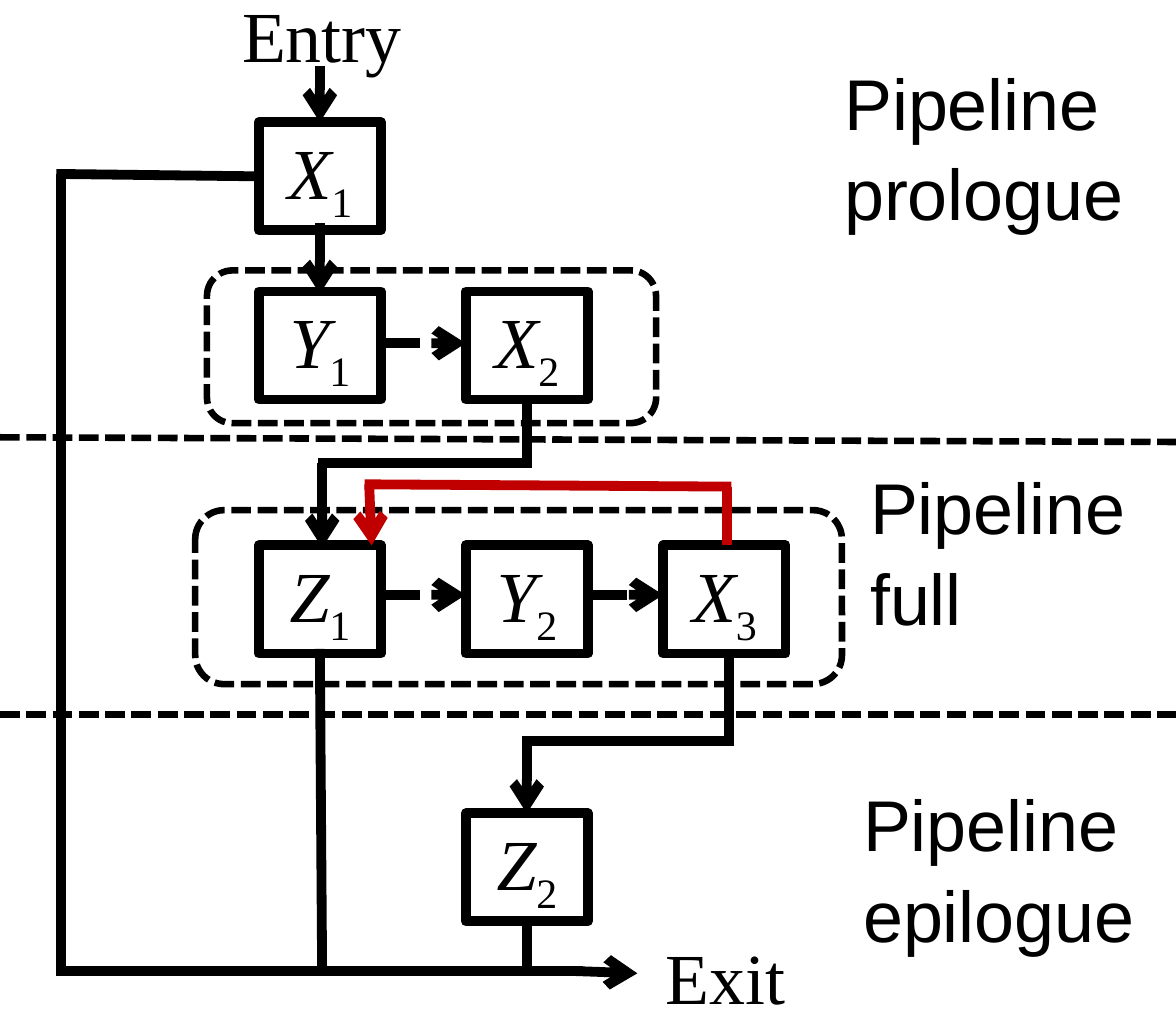
"""Build the software pipeline flow diagram slide."""
from itertools import pairwise

from lxml import etree
from pptx import Presentation
from pptx.dml.color import RGBColor
from pptx.enum.dml import MSO_LINE
from pptx.enum.shapes import MSO_CONNECTOR, MSO_SHAPE
from pptx.enum.text import MSO_ANCHOR, PP_ALIGN
from pptx.oxml.ns import qn
from pptx.util import Inches, Pt

DASH, SYS_DASH = MSO_LINE.DASH, MSO_LINE.SQUARE_DOT
RECT, ROUND = MSO_SHAPE.RECTANGLE, MSO_SHAPE.ROUNDED_RECTANGLE
STRAIGHT = MSO_CONNECTOR.STRAIGHT
MIDDLE, CENTER = MSO_ANCHOR.MIDDLE, PP_ALIGN.CENTER

COLORS = {"ink": "000000", "loop": "C00000"}
SERIF, SANS = "Times New Roman", "Arial"
SIZE = 22
COLS, ROWS = (1.1, 1.98, 2.82), (0.52, 1.24, 2.32, 3.46)
BOX_W, BOX_H = 0.52, 0.46
OVERLAP = 0.02

STAGES = [("X", "1", 0, 0), ("Y", "1", 0, 1), ("X", "2", 1, 1),
          ("Z", "1", 0, 2), ("Y", "2", 1, 2), ("X", "3", 2, 2), ("Z", "2", 1, 3)]
GROUPS = [(0.88, 1.15, 1.91, 0.65), (0.83, 2.17, 2.75, 0.74)]
LABELS = [("Entry", SERIF, 0.98, -0.08, 1.17, 0.42),
          ("Exit", SERIF, 2.78, 3.93, 0.82, 0.42),
          ("Pipeline prologue", SANS, 3.54, 0.21, 1.46, 0.78),
          ("Pipeline full", SANS, 3.65, 1.93, 1.24, 0.78),
          ("Pipeline epilogue", SANS, 3.62, 3.28, 1.29, 0.78)]
DIVIDERS = [((0, 1.86), (5, 1.88)), ((0, 3.04), (5, 3.04))]
LINKS = [((1.62, 1.46), (1.98, 1.46)), ((1.62, 2.53), (1.98, 2.53)),
         ((2.5, 2.53), (2.82, 2.53))]
ROUTES = [
    ("ink", True, [(1.36, 0.28), (1.36, 0.52)]),
    ("ink", True, [(1.36, 0.95), (1.36, 1.25)]),
    ("ink", True, [(2.24, 1.7), (2.24, 1.97), (1.37, 1.97), (1.37, 2.33)]),
    ("loop", True, [(3.09, 2.32), (3.09, 2.07), (1.57, 2.06), (1.58, 2.32)]),
    ("ink", True, [(3.1, 2.76), (3.1, 3.15), (2.24, 3.15), (2.24, 3.46)]),
    ("ink", True, [(1.1, 0.75), (0.26, 0.74), (0.26, 4.13), (2.46, 4.13), (2.71, 4.14)]),
    ("ink", False, [(1.36, 2.76), (1.37, 4.14)]),
    ("ink", False, [(2.24, 3.92), (2.24, 4.14)]),
]


def rgb(name):
    return RGBColor.from_string(COLORS[name])


def set_line(line, width, dash=None, color="ink"):
    line.color.rgb = rgb(color)
    line.width = Pt(width)
    if dash:
        line.dash_style = dash


def add_outline(s, kind, bounds, width, dash=None):
    sp = s.shapes.add_shape(kind, *map(Inches, bounds))
    sp.shadow.inherit = False
    sp.fill.background()
    set_line(sp.line, width, dash)
    return sp


def set_text(tf, runs, font):
    tf.margin_left = tf.margin_right = Inches(0.05)
    tf.margin_top = tf.margin_bottom = Inches(0.02)
    tf.word_wrap = True
    p = tf.paragraphs[0]
    p.font.name, p.font.size = font, Pt(SIZE)
    p.font.color.rgb = rgb("ink")
    for text in runs:
        p.add_run().text = text
    return p


def add_line(s, start, end, width, dash=None, color="ink", arrow=False):
    cx = s.shapes.add_connector(STRAIGHT, *map(Inches, (*start, *end)))
    set_line(cx.line, width, dash, color)
    if arrow:
        etree.SubElement(cx.line._get_or_add_ln(), qn("a:tailEnd"), type="arrow")
    etree.SubElement(cx._element.spPr, qn("a:effectLst"))


def add_route(s, points, color, arrow):
    last = len(points) - 2
    for i, ((x1, y1), (x2, y2)) in enumerate(pairwise(points)):
        if abs(x2 - x1) > abs(y2 - y1):
            step = OVERLAP if x2 > x1 else -OVERLAP
            x1 -= step if i > 0 else 0
            x2 += step if i < last else 0
        add_line(s, (x1, y1), (x2, y2), 3, color=color, arrow=arrow and i == last)


def main():
    prs = Presentation()
    prs.slide_width, prs.slide_height = Inches(5), Inches(4.3)
    s = prs.slides.add_slide(prs.slide_layouts[6])
    for letter, index, col, row in STAGES:
        sp = add_outline(s, RECT, (COLS[col], ROWS[row], BOX_W, BOX_H), 3)
        tf = sp.text_frame
        tf.vertical_anchor = MIDDLE
        p = set_text(tf, (letter, index), SERIF)
        p.alignment = CENTER
        p.runs[0].font.italic = True
        p.runs[1].font._element.set("baseline", "-25000")
    for text, font, *bounds in LABELS:
        tf = s.shapes.add_textbox(*map(Inches, bounds)).text_frame
        set_text(tf, (text,), font).line_spacing = 1.05
    for bounds in GROUPS:
        add_outline(s, ROUND, bounds, 2, SYS_DASH)
    for start, end in DIVIDERS:
        add_line(s, start, end, 2, SYS_DASH)
    for start, end in LINKS:
        add_line(s, start, end, 3, DASH, arrow=True)
    for color, arrow, points in ROUTES:
        add_route(s, points, color, arrow)
    prs.save("out.pptx")


if __name__ == "__main__":
    main()
